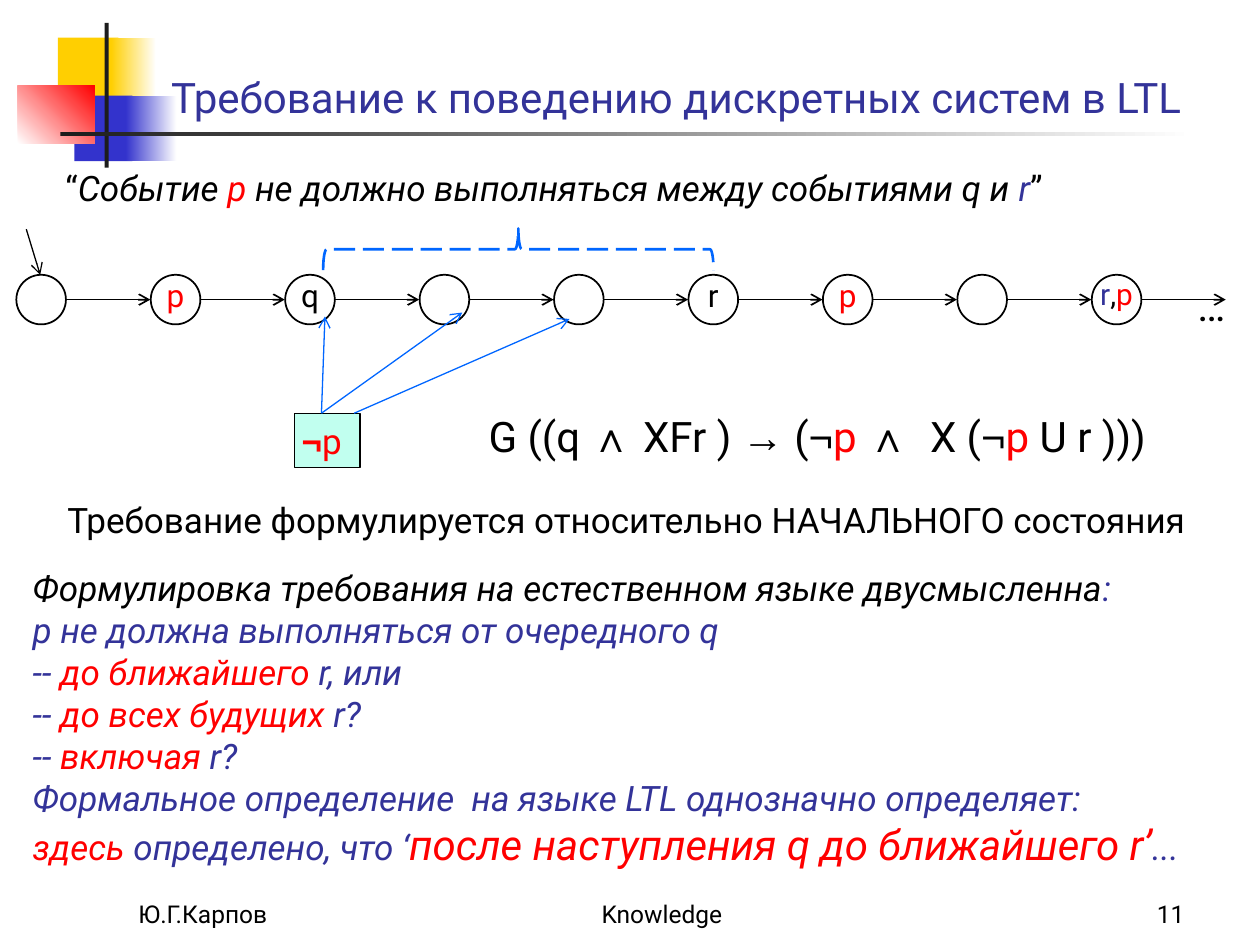
from lxml.etree import SubElement
from pptx import Presentation
from pptx.dml.color import RGBColor
from pptx.enum.dml import MSO_LINE
from pptx.enum.shapes import MSO_CONNECTOR, MSO_SHAPE
from pptx.enum.text import MSO_ANCHOR, PP_ALIGN
from pptx.oxml.ns import qn
from pptx.util import Cm, Pt

COLOURS = {
    "black": "000000",
    "charcoal": "1C1C1C",
    "white": "FFFFFF",
    "yellow": "FFCF01",
    "blue": "3333CC",
    "navy": "333399",
    "red": "FF0000",
    "azure": "0066FF",
    "mint": "C1FFEF",
}
STATE_LEFT, STATE_TOP, STATE_SIZE, STATE_STEP = 0.33, 5.54, 1, 2.71
ARROW_LENGTH = 1.7
STATES = [
    [],
    [("р", "red")],
    [("q", "black")],
    [],
    [],
    [("r", "black")],
    [("р", "red")],
    [],
    [("r", "navy"), (",", "black"), ("р", "red")],
]
QUOTE = [
    ("“", "black", {"italic": False}),
    ("Событие ", "black"),
    ("р", "red"),
    (" не должно выполняться между событиями q и ", "black"),
    ("r", "navy"),
    ("”", "black", {"italic": False}),
]
SYMBOL = {"name": "Arial"}
FORMULA = [
    ("G ((q ", "black"),
    ("∧", "black", SYMBOL),
    (" XFr ) ", "black"),
    ("→", "black", SYMBOL),
    (" (", "black"),
    ("¬", "black", SYMBOL),
    ("p ", "red"),
    ("∧", "black", SYMBOL),
    ("  X (", "black"),
    ("¬", "black", SYMBOL),
    ("p", "red"),
    (" U r )))", "black"),
]
AMBIGUITY = [
    [("Формулировка требования на естественном языке двусмысленна", "black"), (":", "navy")],
    [("р не должна выполняться от очередного q", "navy")],
    [("-- ", "navy"), ("до ближайшего ", "red"), ("r, или", "navy")],
    [("-- ", "navy"), ("до всех будущих ", "red"), ("r?", "navy")],
    [("-- ", "navy"), ("включая ", "red"), ("r?", "navy")],
    [("Формальное определение  на языке LTL однозначно определяет:", "navy")],
    [
        ("здесь", "red"),
        (" определено, что ‘", "navy"),
        ("после наступления q до ближайшего r’", "red", {"size": Pt(24)}),
        ("...", "navy"),
    ],
]


def colour(name):
    return RGBColor.from_string(COLOURS[name])


def add_outline(page, kind, area, line=None, width=1, fill=None):
    shape = page.shapes.add_shape(kind, *map(Cm, area))
    shape.shadow.inherit = False
    if fill:
        shape.fill.solid()
        shape.fill.fore_color.rgb = colour(fill)
    else:
        shape.fill.background()
    if line:
        shape.line.color.rgb = colour(line)
        shape.line.width = Pt(width)
    else:
        shape.line.fill.background()
    return shape


def add_fade(page, area, start, end, angle=0):
    shape = add_outline(page, MSO_SHAPE.RECTANGLE, area)
    shape.fill.gradient()
    shape.fill.gradient_angle = angle
    for stop, name, position in zip(shape.fill.gradient_stops, (start, end), (0, 1)):
        stop.color.rgb = colour(name)
        stop.position = position


def add_arrow(page, start, end, line="black", width=0.75):
    arrow = page.shapes.add_connector(MSO_CONNECTOR.STRAIGHT, *map(Cm, (*start, *end)))
    arrow.line.color.rgb = colour(line)
    arrow.line.width = Pt(width)
    SubElement(arrow.line._get_or_add_ln(), qn("a:tailEnd"), type="arrow")
    SubElement(arrow._element.spPr, qn("a:effectLst"))


def add_text(page, area, lines, size=20, align=PP_ALIGN.LEFT, anchor=MSO_ANCHOR.TOP,
             italic=False, wrap=True, before=0):
    box = page.shapes.add_textbox(*map(Cm, area))
    frame = box.text_frame
    frame.word_wrap = wrap
    frame.vertical_anchor = anchor
    for index, spans in enumerate(lines):
        para = frame.add_paragraph() if index else frame.paragraphs[0]
        para.alignment = align
        para.space_before = Pt(before)
        for text, tint, *changes in spans:
            span = para.add_run()
            span.text = text
            span.font.name = "Roboto"
            span.font.size = Pt(size)
            span.font.italic = italic
            span.font.color.rgb = colour(tint)
            for change in changes:
                for key, value in change.items():
                    setattr(span.font, key, value)


def add_ornament(page):
    add_outline(page, MSO_SHAPE.RECTANGLE, (1.17, 0.76, 1.22, 1.32), fill="yellow")
    add_fade(page, (2.24, 0.76, 0.91, 1.32), "yellow", "white")
    add_outline(page, MSO_SHAPE.RECTANGLE, (1.5, 1.93, 1.17, 1.32), fill="blue")
    add_fade(page, (2.54, 1.93, 1.02, 1.32), "blue", "white")
    add_fade(page, (0.36, 1.73, 1.55, 1.17), "white", "red", 45)
    add_outline(page, MSO_SHAPE.RECTANGLE, (2.11, 0.46, 0.08, 2.92), fill="charcoal")
    add_fade(page, (1.22, 2.67, 22.86, 0.08), "charcoal", "white")


def add_chain(page):
    middle = STATE_TOP + STATE_SIZE / 2
    for index, label in enumerate(STATES):
        left = STATE_LEFT + index * STATE_STEP
        right = left + STATE_SIZE
        add_outline(page, MSO_SHAPE.OVAL, (left, STATE_TOP, STATE_SIZE, STATE_SIZE), "black")
        add_arrow(page, (right, middle), (right + ARROW_LENGTH, middle), width=1)
        if label:
            add_text(page, (left - 0.2, 5.44, 1.4, 1.02), [label],
                     17 if len(label) > 1 else 18, PP_ALIGN.CENTER, wrap=False)
    add_text(page, (23.62, 5.51, 1.6, 1.27), [[("…", "black")]], 24, PP_ALIGN.CENTER)
    add_arrow(page, (0.53, 4.62), (0.81, STATE_TOP))
    brace = add_outline(page, MSO_SHAPE.RIGHT_BRACE, (10.03, 1.09, 0.84, 7.87), "azure", 1.5)
    brace.rotation = 270
    brace.line.dash_style = MSO_LINE.LONG_DASH


def add_negation(page):
    add_outline(page, MSO_SHAPE.RECTANGLE, (5.94, 8.33, 1.32, 1.09), "black", 0.75, "mint")
    add_text(page, (5.56, 8.33, 1.85, 1.12),
             [[("¬", "red", {"name": "Arial", "bold": True}), ("p", "red")]],
             align=PP_ALIGN.CENTER)
    for start, end in (
        ((6.48, 8.33), (6.55, 6.38)),
        ((6.48, 8.33), (9.32, 6.3)),
        ((7.14, 8.33), (11.48, 6.43)),
    ):
        add_arrow(page, start, end, "azure")


def add_footer(page):
    for left, width, text, align in (
        (2.54, 5.28, "Ю.Г.Карпов", PP_ALIGN.LEFT),
        (9.32, 8.05, "Knowledge", PP_ALIGN.CENTER),
        (18.85, 5.28, "11", PP_ALIGN.RIGHT),
    ):
        add_text(page, (left, 17.58, width, 1.27), [[(text, "black")]], 14, align,
                 MSO_ANCHOR.BOTTOM)


def main():
    deck = Presentation()
    deck.slide_width, deck.slide_height = Cm(25.4), Cm(19.05)
    page = deck.slides.add_slide(deck.slide_layouts[6])
    add_ornament(page)
    add_text(page, (3.2, 0.56, 21.64, 2.03),
             [[("Требование к поведению дискретных систем в LTL", "navy")]], 24,
             anchor=MSO_ANCHOR.BOTTOM)
    add_text(page, (1.07, 3.23, 21.54, 1.14), [QUOTE], italic=True, before=5)
    add_footer(page)
    add_text(page, (0.58, 9.93, 24.28, 1.12),
             [[("Требование формулируется относительно НАЧАЛЬНОГО состояния ", "black")]],
             align=PP_ALIGN.CENTER)
    add_text(page, (0.41, 11.3, 24.99, 6.35), AMBIGUITY, italic=True)
    add_chain(page)
    add_text(page, (8.13, 8.15, 16.69, 1.27), [FORMULA], 24, PP_ALIGN.CENTER)
    add_negation(page)
    deck.save("out.pptx")


if __name__ == "__main__":
    main()
